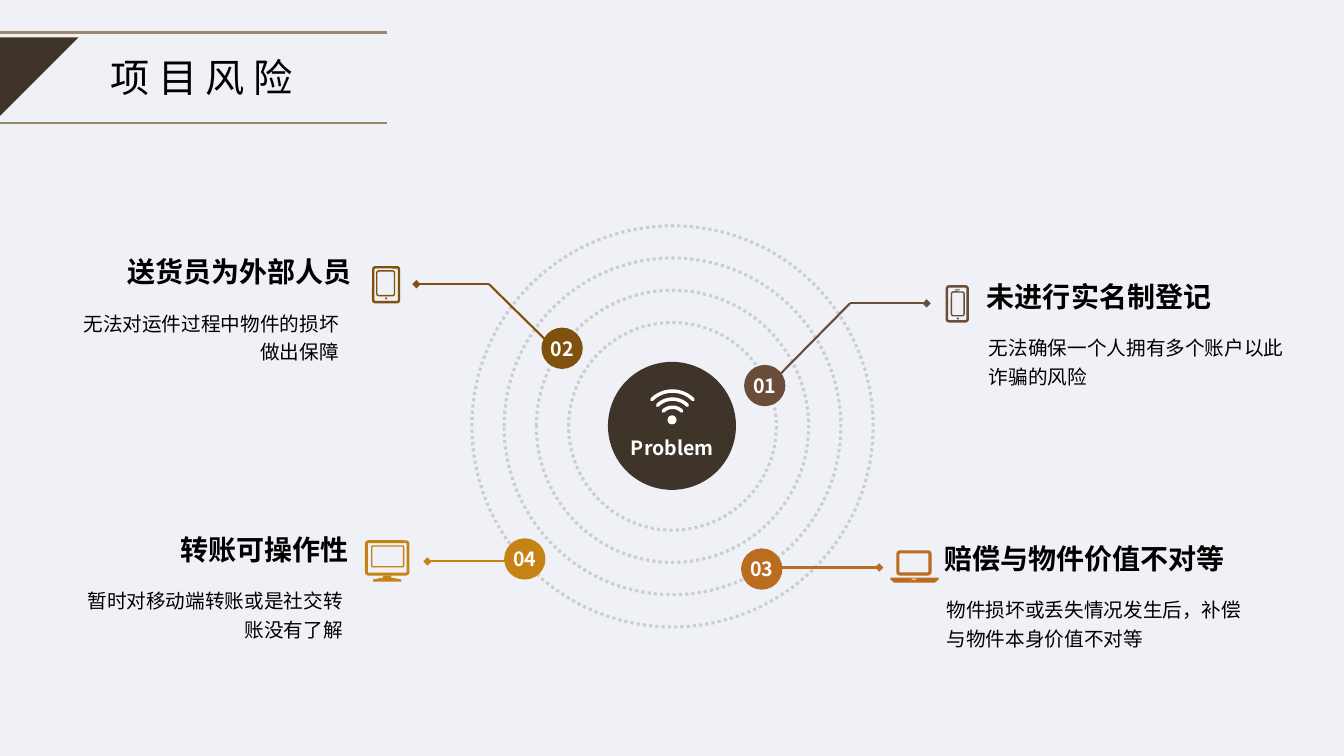
import math
from dataclasses import dataclass

import lxml.etree
import pptx
import pptx.dml.color
import pptx.enum.dml
import pptx.enum.shapes
import pptx.enum.text
import pptx.oxml.ns
import pptx.util

Inches = pptx.util.Inches
Pt = pptx.util.Pt
SHAPE = pptx.enum.shapes.MSO_SHAPE
ALIGN = pptx.enum.text.PP_ALIGN
ANCHOR = pptx.enum.text.MSO_ANCHOR
Point = tuple[float, float]

FONT = "Noto Sans CJK SC"
BACKGROUND, DARK, TAN, RING, WHITE, BLACK = "F0F1F6", "3E3429", "9E866C", "C9CED5", "FFFFFF", "000000"
CENTER_X, CENTER_Y = 6.67, 4.23
NODE_SIZE = 0.41
HEADING_SIZE = 20


@dataclass
class Risk:
    """One numbered risk: its node, leader line and text block."""
    number: str
    color: str
    node: Point
    leader: list[Point]
    heading: str
    detail: str
    heading_edge: float
    heading_top: float
    detail_left: float
    detail_width: float
    align: ALIGN


@dataclass
class Part:
    """One preset piece of a device icon; stroke 0 means filled."""
    color: str
    left: float
    top: float
    width: float
    height: float
    stroke: float = 0
    radius: float = 0.02
    preset: SHAPE = SHAPE.ROUNDED_RECTANGLE


PHONE, TABLET, LAPTOP, MONITOR = "694D39", "80500D", "BA6C1F", "C58315"

RISKS = [
    Risk("01", PHONE, (7.38, 3.62), [(7.73, 3.72), (8.43, 3.01), (9.19, 3.01)],
         "未进行实名制登记", "无法确保一个人拥有多个账户以此诈骗的风险", 9.69, 2.72, 9.71, 3.18, ALIGN.LEFT),
    Risk("02", TABLET, (5.37, 3.25), [(5.43, 3.39), (4.85, 2.82), (4.13, 2.82)],
         "送货员为外部人员", "无法对运件过程中物件的损坏做出保障", 3.59, 2.48, 0.72, 2.74, ALIGN.RIGHT),
    Risk("03", LAPTOP, (7.35, 5.44), [(7.76, 5.63), (8.72, 5.63)],
         "赔偿与物件价值不对等", "物件损坏或丢失情况发生后，补偿与物件本身价值不对等", 9.27, 5.32, 9.29, 3.18, ALIGN.LEFT),
    Risk("04", MONITOR, (5, 5.34), [(5.02, 5.57), (4.24, 5.57)],
         "转账可操作性", "暂时对移动端转账或是社交转账没有了解", 3.56, 5.23, 0.76, 2.74, ALIGN.RIGHT),
]

ICON_PARTS = [
    Part(PHONE, 9.38, 2.83, 0.23, 0.37, 1.75),
    Part(PHONE, 9.43, 2.89, 0.14, 0.25, 1),
    Part(PHONE, 9.47, 2.87, 0.05, 0.01),
    Part(PHONE, 9.49, 3.15, 0.02, 0.02, preset=SHAPE.OVAL),
    Part(TABLET, 3.69, 2.64, 0.28, 0.37, 1.75),
    Part(TABLET, 3.73, 2.68, 0.19, 0.26, 1),
    Part(TABLET, 3.82, 2.95, 0.02, 0.02, preset=SHAPE.OVAL),
    Part(MONITOR, 3.62, 5.36, 0.44, 0.35, 2),
    Part(MONITOR, 3.68, 5.41, 0.33, 0.22, 1, 0.01),
    Part(LAPTOP, 8.89, 5.46, 0.35, 0.25, 2.25),
    Part(BACKGROUND, 9.04, 5.74, 0.05, 0.01),
]
MONITOR_STAND = [(3.8, 5.71), (3.8, 5.73), (3.7, 5.75), (3.7, 5.77),
                 (3.98, 5.77), (3.98, 5.75), (3.88, 5.73), (3.88, 5.71)]
LAPTOP_BASE = [(8.83, 5.73), (9.31, 5.73), (9.31, 5.75), (9.27, 5.78), (8.87, 5.78), (8.83, 5.75)]


def rgb(color: str) -> pptx.dml.color.RGBColor:
    return pptx.dml.color.RGBColor.from_string(color)


def paint(shape, fill: str = "", line: str = "", width: float = 0) -> None:
    shape.shadow.inherit = False
    if fill:
        shape.fill.solid()
        shape.fill.fore_color.rgb = rgb(fill)
    else:
        shape.fill.background()
    if line:
        shape.line.color.rgb = rgb(line)
        shape.line.width = Pt(width)
    else:
        shape.line.fill.background()


def add_preset(slide, preset: SHAPE, left: float, top: float, width: float, height: float):
    return slide.shapes.add_shape(preset, Inches(left), Inches(top), Inches(width), Inches(height))


def add_outline(slide, points: list[Point], close: bool = True):
    start, *rest = [(Inches(x), Inches(y)) for x, y in points]
    builder = slide.shapes.build_freeform(*start)
    builder.add_line_segments(rest, close=close)
    return builder.convert_to_shape()


def add_line(slide, start: Point, end: Point, color: str, width: float, diamond: bool = False) -> None:
    line = slide.shapes.add_connector(pptx.enum.shapes.MSO_CONNECTOR.STRAIGHT,
                                      *(Inches(value) for value in start + end))
    line.line.color.rgb = rgb(color)
    line.line.width = Pt(width)
    if diamond:
        lxml.etree.SubElement(line.line._get_or_add_ln(), pptx.oxml.ns.qn("a:tailEnd"), type="diamond")
    lxml.etree.SubElement(line._element.spPr, pptx.oxml.ns.qn("a:effectLst"))


def write(frame, text: str, size: float, color: str, align: ALIGN, bold: bool = False,
          spacing: float = 1, tracking: int = 0) -> None:
    frame.text = text
    paragraph = frame.paragraphs[0]
    paragraph.alignment = align
    paragraph.line_spacing = spacing
    font = paragraph.font
    font.size = Pt(size)
    font.bold = bold
    font.color.rgb = rgb(color)
    font.name = FONT
    properties = paragraph._p.pPr.find(pptx.oxml.ns.qn("a:defRPr"))
    lxml.etree.SubElement(properties, pptx.oxml.ns.qn("a:ea"), typeface=FONT)
    if tracking:
        properties.set("spc", str(tracking))


def add_text(slide, left: float, top: float, width: float, height: float):
    box = slide.shapes.add_textbox(Inches(left), Inches(top), Inches(width), Inches(height))
    box.text_frame.word_wrap = True
    return box.text_frame


def set_insets(frame, left: float = 0) -> None:
    frame.margin_left = Inches(left)
    frame.margin_top = frame.margin_right = frame.margin_bottom = 0
    frame.vertical_anchor = ANCHOR.MIDDLE


def draw_header(slide) -> None:
    title = slide.shapes.title
    title.left, title.top, title.width, title.height = Inches(0), Inches(0.32), Inches(3.84), Inches(0.89)
    set_insets(title.text_frame, 1.1)
    write(title.text_frame, "项目风险", 28, BLACK, ALIGN.LEFT, tracking=600)
    for y in (0.32, 1.22):
        add_line(slide, (0, y), (3.84, y), TAN, 2)
    paint(add_outline(slide, [(0, 0.37), (0.78, 0.37), (0, 1.15)]), DARK)


def draw_hub(slide) -> None:
    for diameter in (3.98, 3.34, 2.7, 2.06):
        ring = add_preset(slide, SHAPE.OVAL, CENTER_X - diameter / 2, CENTER_Y - diameter / 2, diameter, diameter)
        paint(ring, line=RING, width=2.25)
        ring.line.dash_style = pptx.enum.dml.MSO_LINE.ROUND_DOT
    paint(add_preset(slide, SHAPE.OVAL, 6.03, 3.59, 1.27, 1.27), DARK)
    paint(add_preset(slide, SHAPE.OVAL, 6.62, 4.12, 0.09, 0.09), WHITE)
    for radius in (0.13, 0.21, 0.29):
        angles = [math.radians(degrees) for degrees in range(-135, -44, 5)]
        wave = add_outline(slide, [(CENTER_X + radius * math.cos(angle), 4.17 + radius * math.sin(angle))
                                   for angle in angles], close=False)
        paint(wave, line=WHITE, width=2.5)
        wave.line._get_or_add_ln().set("cap", "rnd")
    write(add_text(slide, 6.07, 4.28, 1.2, 0.34), "Problem", 14, WHITE, ALIGN.CENTER, bold=True)


def draw_risk(slide, risk: Risk) -> None:
    for start, end in zip(risk.leader, risk.leader[1:]):
        add_line(slide, start, end, risk.color, 1.5, diamond=end == risk.leader[-1])
    node = add_preset(slide, SHAPE.OVAL, *risk.node, NODE_SIZE, NODE_SIZE)
    paint(node, risk.color)
    set_insets(node.text_frame)
    node.text_frame.word_wrap = False
    write(node.text_frame, risk.number, 14, WHITE, ALIGN.CENTER, bold=True)
    heading_width = len(risk.heading) * HEADING_SIZE / 72 + 0.4
    heading_left = risk.heading_edge - (heading_width if risk.align == ALIGN.RIGHT else 0)
    write(add_text(slide, heading_left, risk.heading_top, heading_width, 0.5),
          risk.heading, HEADING_SIZE, BLACK, risk.align, bold=True)
    write(add_text(slide, risk.detail_left, risk.heading_top + 0.52, risk.detail_width, 0.75),
          risk.detail, 14, BLACK, risk.align, spacing=1.2)


def draw_icons(slide) -> None:
    paint(add_outline(slide, MONITOR_STAND), MONITOR)
    paint(add_outline(slide, LAPTOP_BASE), LAPTOP)
    for part in ICON_PARTS:
        inset = part.stroke / 72
        width, height = part.width - inset, part.height - inset
        piece = add_preset(slide, part.preset, part.left + inset / 2, part.top + inset / 2, width, height)
        if part.preset == SHAPE.ROUNDED_RECTANGLE:
            piece.adjustments[0] = min(0.5, part.radius / min(width, height))
        if part.stroke:
            paint(piece, line=part.color, width=part.stroke)
        else:
            paint(piece, part.color)


def main() -> None:
    """Build the project risk slide and save it."""
    deck = pptx.Presentation()
    deck.slide_width, deck.slide_height = Inches(13.33), Inches(7.5)
    slide = deck.slides.add_slide(deck.slide_layouts[5])
    slide.background.fill.solid()
    slide.background.fill.fore_color.rgb = rgb(BACKGROUND)
    draw_header(slide)
    draw_hub(slide)
    for risk in RISKS:
        draw_risk(slide, risk)
    draw_icons(slide)
    deck.save("out.pptx")


if __name__ == "__main__":
    main()
